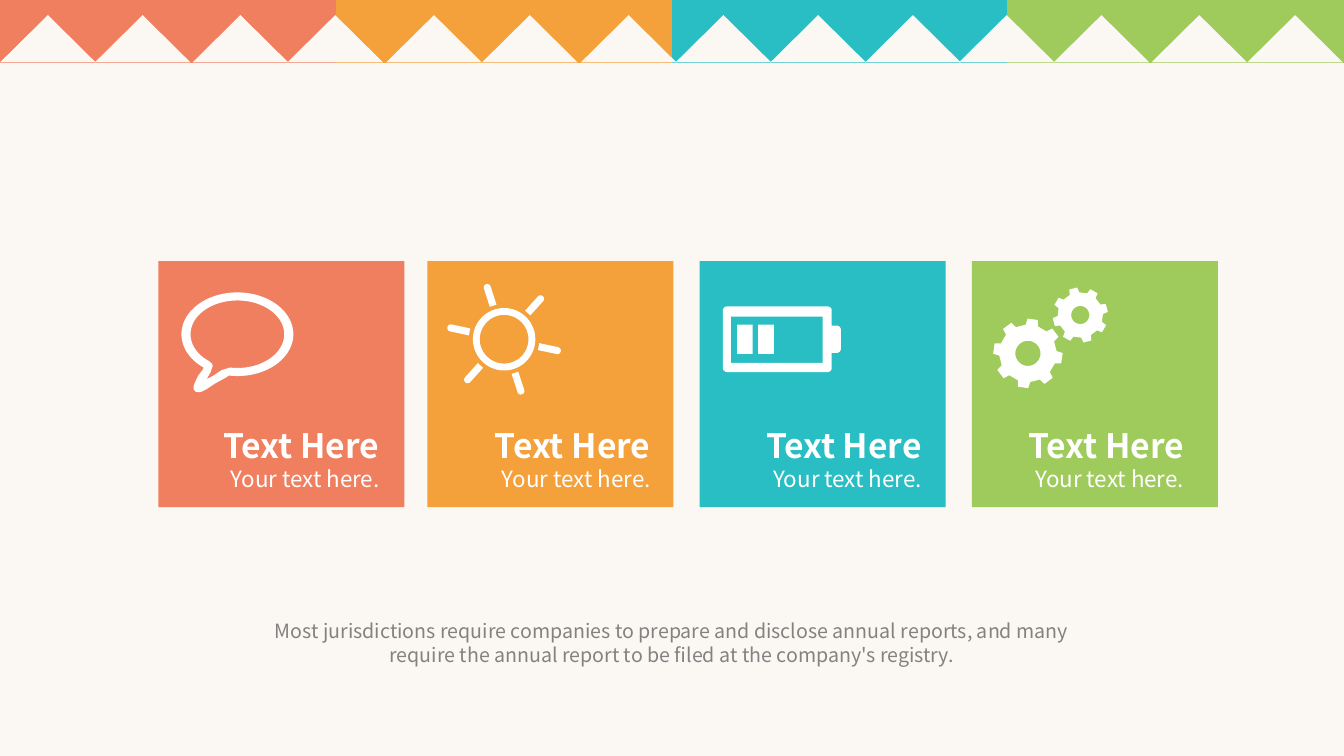
"""Build a slide with four coloured icon cards under a zigzag header."""
from collections.abc import Callable
from dataclasses import dataclass
from math import cos, radians, sin

from pptx import Presentation
from pptx.dml.color import RGBColor
from pptx.enum.shapes import MSO_SHAPE
from pptx.enum.text import MSO_AUTO_SIZE, PP_ALIGN
from pptx.shapes.autoshape import Shape
from pptx.slide import Slide
from pptx.util import Inches, Pt

SLIDE_W, SLIDE_H = Inches(13.333), Inches(7.5)
COLS = 1333
CELL = SLIDE_W / COLS

FONT = "Noto Sans CJK SC"
CREAM, WHITE, GREY = "FBF7F2", "FFFFFF", "828282"
CORAL, ORANGE, TEAL, GREEN = "F07F60", "F4A03B", "28BEC3", "9ECB5B"

CARD_TOP, CARD_SIDE = 259, 244
BAND_COLS = {CORAL: 0, ORANGE: 333, TEAL: 667, GREEN: 999}
TOOTH_COLS = (0, 94, 191, 285, 383, 478, 576, 670, 764, 858, 951, 1045, 1142, 1237)

Point = tuple[float, float]


@dataclass
class Card:
    col: int
    text_col: int
    color: str
    draw_icon: Callable[[Slide], None]


@dataclass
class Gear:
    col: float
    row: float
    tip: float
    root: float
    hole: float
    turn: float


def grid(cells: float) -> int:
    return round(cells * CELL)


def rgb(color: str) -> RGBColor:
    return RGBColor.from_string(color)


def paint(sp: Shape, color: str) -> None:
    sp.shadow.inherit = False
    sp.fill.solid()
    sp.fill.fore_color.rgb = rgb(color)
    sp.line.fill.background()


def add_preset(s: Slide, kind: MSO_SHAPE, col: float, row: float,
               width: float, height: float, color: str) -> Shape:
    sp = s.shapes.add_shape(kind, grid(col), grid(row), grid(width), grid(height))
    paint(sp, color)
    return sp


def add_outline(s: Slide, *contours: list[Point]) -> None:
    scaled = [[(grid(x), grid(y)) for x, y in contour] for contour in contours]
    builder = s.shapes.build_freeform(*scaled[0][0], scale=1.0)
    for contour in scaled:
        builder.move_to(*contour[0])
        builder.add_line_segments(contour[1:], close=True)
    paint(builder.convert_to_shape(), WHITE)


def add_text(s: Slide, text: str, col: float, row: float, width: float,
             height: float, size: int, color: str, bold: bool = False,
             align: PP_ALIGN = PP_ALIGN.LEFT) -> None:
    sp = s.shapes.add_textbox(grid(col), grid(row), grid(width), grid(height))
    tf = sp.text_frame
    tf.word_wrap = True
    tf.auto_size = MSO_AUTO_SIZE.SHAPE_TO_FIT_TEXT
    tf.text = text
    p = tf.paragraphs[0]
    p.alignment = align
    font = p.runs[0].font
    font.name, font.size, font.bold = FONT, Pt(size), bold
    font.color.rgb = rgb(color)


def polar(col: float, row: float, radius: float, angle: float) -> Point:
    return col + radius * cos(radians(angle)), row + radius * sin(radians(angle))


def arc(col: float, row: float, rx: float, ry: float, start: float, end: float,
        steps: int = 8) -> list[Point]:
    angles = [radians(start + (end - start) * i / steps) for i in range(steps + 1)]
    return [(col + rx * cos(a), row + ry * sin(a)) for a in angles]


def draw_bubble(s: Slide) -> None:
    col, row, start, end = 235.5, 331.5, 127, 459
    outer = arc(col, row, 55.5, 41.5, start, end, 72)
    outer += [(225, 374), (214, 380), (205, 386), (200, 388.5), (197, 389), (194, 388.5),
              (192, 386), (192, 383), (194, 378), (197, 372), (201, 367)]
    inner = arc(col, row, 46.5, 33.5, start, end, 72)
    inner += [(220, 367), (211, 373), (205, 376), (209, 369), (211, 363), (210.5, 361)]
    add_outline(s, outer, inner)


def draw_sun(s: Slide) -> None:
    col, row, half = 500, 336.5, 3.5
    for angle in range(12, 372, 60):
        cap = polar(col, row, 54, angle)
        base = polar(col, row, 35, angle)
        add_outline(s, [polar(*base, half, angle - 90),
                        *arc(*cap, half, half, angle - 90, angle + 90),
                        polar(*base, half, angle + 90)])
    ring = add_preset(s, MSO_SHAPE.DONUT, 469, 305.5, 62, 62, WHITE)
    ring.adjustments[0] = 0.11


def draw_battery(s: Slide) -> None:
    for col in (731, 752):
        add_preset(s, MSO_SHAPE.RECTANGLE, col, 322, 15.5, 29, WHITE)
    r = 4
    body = [*arc(721, 308, r, r, 180, 270), *arc(821, 308, r, r, 270, 360),
            (825, 323), *arc(830, 327, r, r, 270, 360),
            *arc(830, 346, r, r, 0, 90), (825, 350),
            *arc(821, 365, r, r, 0, 90), *arc(721, 365, r, r, 90, 180)]
    add_outline(s, body, [(725, 314), (816, 314), (816, 360), (725, 360)])


def draw_gears(s: Slide) -> None:
    for g in (Gear(1019.5, 350.5, 34.5, 28.5, 12.5, 8),
              Gear(1071.5, 312.5, 27.5, 22.5, 9, -15)):
        rim = [polar(g.col, g.row, radius, g.turn + 45 * i + offset)
               for i in range(8)
               for radius, offset in ((g.root, -12.5), (g.tip, -8.5),
                                      (g.tip, 8.5), (g.root, 12.5))]
        add_outline(s, rim, arc(g.col, g.row, g.hole, g.hole, 0, 360, 36))


def draw_header(s: Slide) -> None:
    for color, col in BAND_COLS.items():
        add_preset(s, MSO_SHAPE.FLOWCHART_PROCESS, col, 0, 334, 62, color)
    for col in TOOTH_COLS:
        add_preset(s, MSO_SHAPE.ISOSCELES_TRIANGLE, col, 15, 95, 47, CREAM)


def draw_card(s: Slide, card: Card) -> None:
    add_preset(s, MSO_SHAPE.RECTANGLE, card.col, CARD_TOP, CARD_SIDE, CARD_SIDE, card.color)
    card.draw_icon(s)
    add_text(s, "Your text here.", card.text_col + 7, 456, 189, 37, 16, WHITE)
    add_text(s, "Text Here", card.text_col, 417, 202, 50, 24, WHITE, bold=True)


CARDS = (
    Card(157, 212, CORAL, draw_bubble),
    Card(424, 481, ORANGE, draw_sun),
    Card(694, 750, TEAL, draw_battery),
    Card(964, 1010, GREEN, draw_gears),
)


def main() -> None:
    prs = Presentation()
    prs.slide_width, prs.slide_height = SLIDE_W, SLIDE_H
    s = prs.slides.add_slide(prs.slide_layouts[6])
    s.background.fill.solid()
    s.background.fill.fore_color.rgb = rgb(CREAM)
    draw_header(s)
    for card in CARDS:
        draw_card(s, card)
    add_text(s, "Most jurisdictions require companies to prepare and disclose annual "
             "reports, and many require the annual report to be filed at the "
             "company's registry.", 256, 609, 821, 57, 14, GREY, align=PP_ALIGN.CENTER)
    prs.save("out.pptx")


if __name__ == "__main__":
    main()
